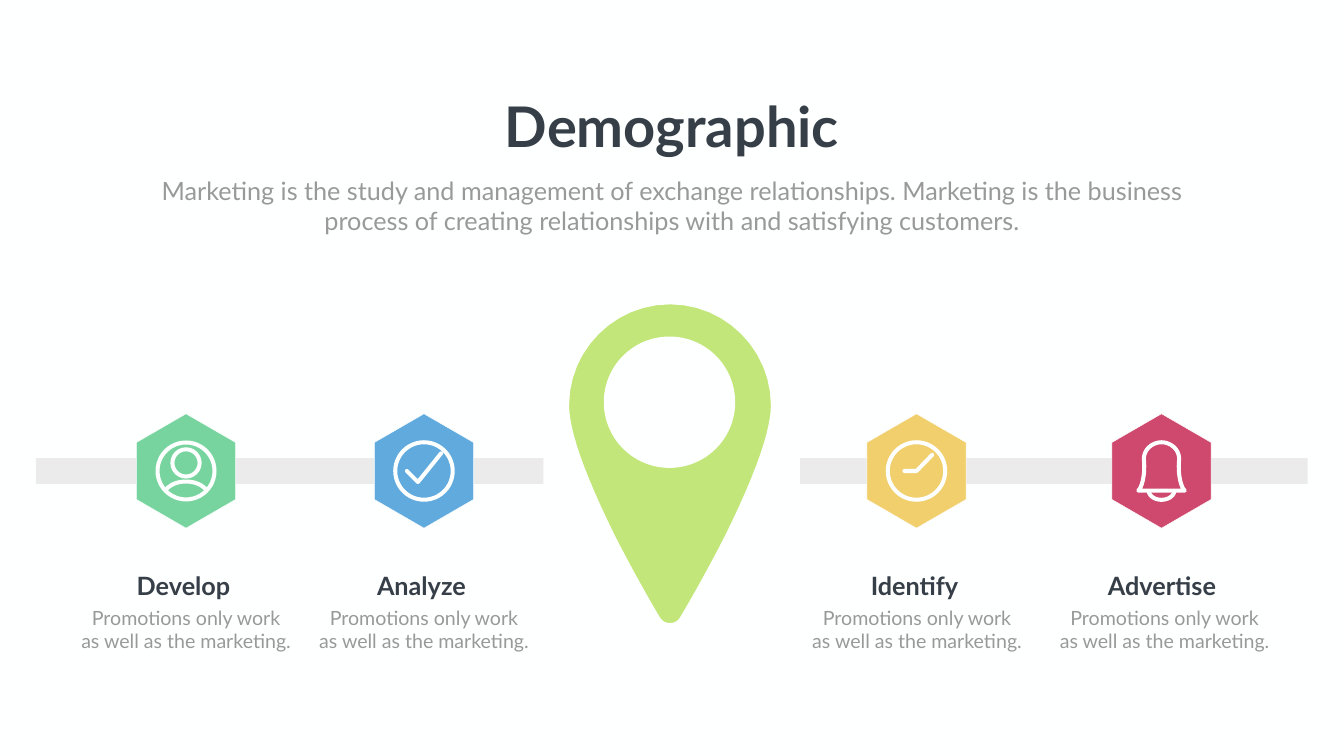
from lxml.etree import SubElement
from pptx import Presentation
from pptx.dml.color import RGBColor
from pptx.enum.shapes import MSO_SHAPE as Shape
from pptx.enum.text import MSO_ANCHOR as Anchor, MSO_AUTO_SIZE as AutoSize, PP_ALIGN as Align
from pptx.oxml.ns import qn
from pptx.util import Inches, Pt

WHITE = RGBColor(0xFE, 0xFF, 0xFF)
DARK = RGBColor(0x36, 0x3E, 0x48)
GRAY = RGBColor(0x99, 0x99, 0x99)
BAR = RGBColor(0xEB, 0xEB, 0xEB)
LIME = RGBColor(0xC2, 0xE6, 0x79)
GREEN = RGBColor(0x78, 0xD4, 0x9F)
BLUE = RGBColor(0x61, 0xAA, 0xDE)
YELLOW = RGBColor(0xF1, 0xCF, 0x6D)
RED = RGBColor(0xCE, 0x49, 0x6D)

FONT = "Lato"
AXIS_Y = 9.345  # common middle of bars, hexagons and icons
ICON_PT = 5.75
PIN_BORDER_PT = 30


def paint(sp, fill=None, line=None, width=0.75):
    """Set fill and line; None means none. Lines get round caps and joins."""
    sp.shadow.inherit = False
    if fill is None:
        sp.fill.background()
    else:
        sp.fill.solid()
        sp.fill.fore_color.rgb = fill
    if line is None:
        sp.line.fill.background()
        return
    sp.line.color.rgb = line
    sp.line.width = Pt(width)
    ln = sp._element.spPr.find(qn("a:ln"))
    ln.set("cap", "rnd")
    SubElement(ln, qn("a:round"))


def curve(start, *segments, steps=12):
    """Points along cubic Bezier segments, each (control, control, end)."""
    points = [start]
    for c1, c2, end in segments:
        p0 = points[-1]
        for i in range(1, steps + 1):
            t = i / steps
            u = 1 - t
            points.append(tuple(
                u**3 * a + 3 * u * u * t * b + 3 * u * t * t * c + t**3 * d
                for a, b, c, d in zip(p0, c1, c2, end)))
    return points


def mirror(points):
    """Complete a half outline by reflecting it across x = 0."""
    return points + [(-x, y) for x, y in reversed(points)]


def add_path(slide, cx, cy, points, closed=False, **style):
    pts = [(Inches(cx + x), Inches(cy + y)) for x, y in points]
    builder = slide.shapes.build_freeform(*pts[0], scale=1.0)
    builder.add_line_segments(pts[1:], close=closed)
    paint(builder.convert_to_shape(), **style)


def add_circle(slide, cx, cy, d, **style):
    sp = slide.shapes.add_shape(Shape.OVAL, Inches(cx - d / 2), Inches(cy - d / 2),
                                Inches(d), Inches(d))
    paint(sp, **style)


def write(sp, text, size, color, bold=False):
    tf = sp.text_frame
    tf.text = text
    tf.word_wrap = True
    tf.auto_size = AutoSize.NONE
    tf.vertical_anchor = Anchor.TOP
    for p in tf.paragraphs:
        p.alignment = Align.CENTER
        for r in p.runs:
            r.font.name, r.font.size = FONT, Pt(size)
            r.font.bold, r.font.color.rgb = bold, color


def add_text(slide, cx, top, w, h, *text_style, **kwargs):
    sp = slide.shapes.add_textbox(Inches(cx - w / 2), Inches(top), Inches(w), Inches(h))
    write(sp, *text_style, **kwargs)


def add_bar(slide, left):
    sp = slide.shapes.add_shape(Shape.RECTANGLE, Inches(left), Inches(9.09),
                                Inches(10.07), Inches(0.51))
    paint(sp, fill=BAR)


def add_pin(slide):
    half = curve((0, -3.37),
                 ((1.22, -3.37), (2.21, -2.37), (2.21, -1.16)),
                 ((2.21, -0.61), (1.89, 0.28), (1.28, 1.52)),
                 ((0.83, 2.4), (0.38, 3.16), (0.37, 3.17)),
                 ((0.29, 3.29), (0.17, 3.37), (0, 3.37)))
    add_path(slide, 13.29, 9.2, mirror(half), closed=True,
             fill=LIME, line=WHITE, width=PIN_BORDER_PT)
    add_circle(slide, 13.28, 7.98, 2.19, fill=WHITE, line=WHITE, width=PIN_BORDER_PT)


# Icons, drawn as white strokes around the hexagon centre
STROKE = dict(line=WHITE, width=ICON_PT)


def user_icon(slide, cx):
    add_circle(slide, cx, AXIS_Y, 1.13, **STROKE)
    add_circle(slide, cx, AXIS_Y - 0.16, 0.54, **STROKE)
    shoulder = curve((-0.38, 0.35), ((-0.28, 0.25), (-0.14, 0.21), (0, 0.21)))
    add_path(slide, cx, AXIS_Y, mirror(shoulder), **STROKE)


def dial_icon(slide, cx, points):
    add_circle(slide, cx, AXIS_Y, 1.14, **STROKE)
    add_path(slide, cx, AXIS_Y, points, **STROKE)


def check_icon(slide, cx):
    dial_icon(slide, cx, [(-0.34, 0), (-0.12, 0.22), (0.34, -0.35)])


def clock_icon(slide, cx):
    dial_icon(slide, cx, [(-0.24, 0), (0, 0), (0.31, -0.32)])


def bell_icon(slide, cx):
    half = curve((0, -0.57),
                 ((0.18, -0.57), (0.35, -0.43), (0.35, -0.24)),
                 ((0.32, 0.05), (0.38, 0.31), (0.46, 0.39)))
    add_path(slide, cx, AXIS_Y, mirror(half), closed=True, **STROKE)
    clapper = curve((-0.25, 0.43), ((-0.17, 0.62), (0.17, 0.62), (0.25, 0.43)))
    add_path(slide, cx, AXIS_Y, clapper, **STROKE)


def add_step(slide, name, color, cx, text_cx, draw_icon):
    hexagon = [(0, -1.135), (0.985, -0.565), (0.985, 0.565),
               (0, 1.135), (-0.985, 0.565), (-0.985, -0.565)]
    add_path(slide, cx, AXIS_Y, hexagon, closed=True, fill=color, line=WHITE)
    draw_icon(slide, cx)
    add_text(slide, text_cx - 0.05, 11.27, 2.61, 0.71, name, 36, DARK, bold=True)
    add_text(slide, text_cx, 11.97, 4.85, 1.04,
             "Promotions only work\nas well as the marketing.", 28, GRAY)


def main():
    prs = Presentation()
    prs.slide_width, prs.slide_height = Inches(26.66), Inches(15)
    slide = prs.slides.add_slide(prs.slide_layouts[5])
    slide.background.fill.solid()
    slide.background.fill.fore_color.rgb = WHITE

    # Heading
    title = slide.shapes.title
    title.left, title.top = Inches(9.85), Inches(1.77)
    title.width, title.height = Inches(6.96), Inches(1.45)
    write(title, "Demographic", 80, DARK, bold=True)
    add_text(slide, 13.33, 3.43, 21.3, 1.31,
             "Marketing is the study and management of exchange relationships. "
             "Marketing is the business process of creating relationships with "
             "and satisfying customers.", 36, GRAY)

    # Track with the pin in its gap
    for left in (0.71, 15.87):
        add_bar(slide, left)
    add_pin(slide)

    # Steps: name, colour, hexagon centre, text centre, icon
    for step in (("Develop", GREEN, 3.69, 3.69, user_icon),
                 ("Analyze", BLUE, 8.41, 8.41, check_icon),
                 ("Identify", YELLOW, 18.18, 18.19, clock_icon),
                 ("Advertise", RED, 23.04, 23.1, bell_icon)):
        add_step(slide, *step)

    prs.save("out.pptx")


if __name__ == "__main__":
    main()
